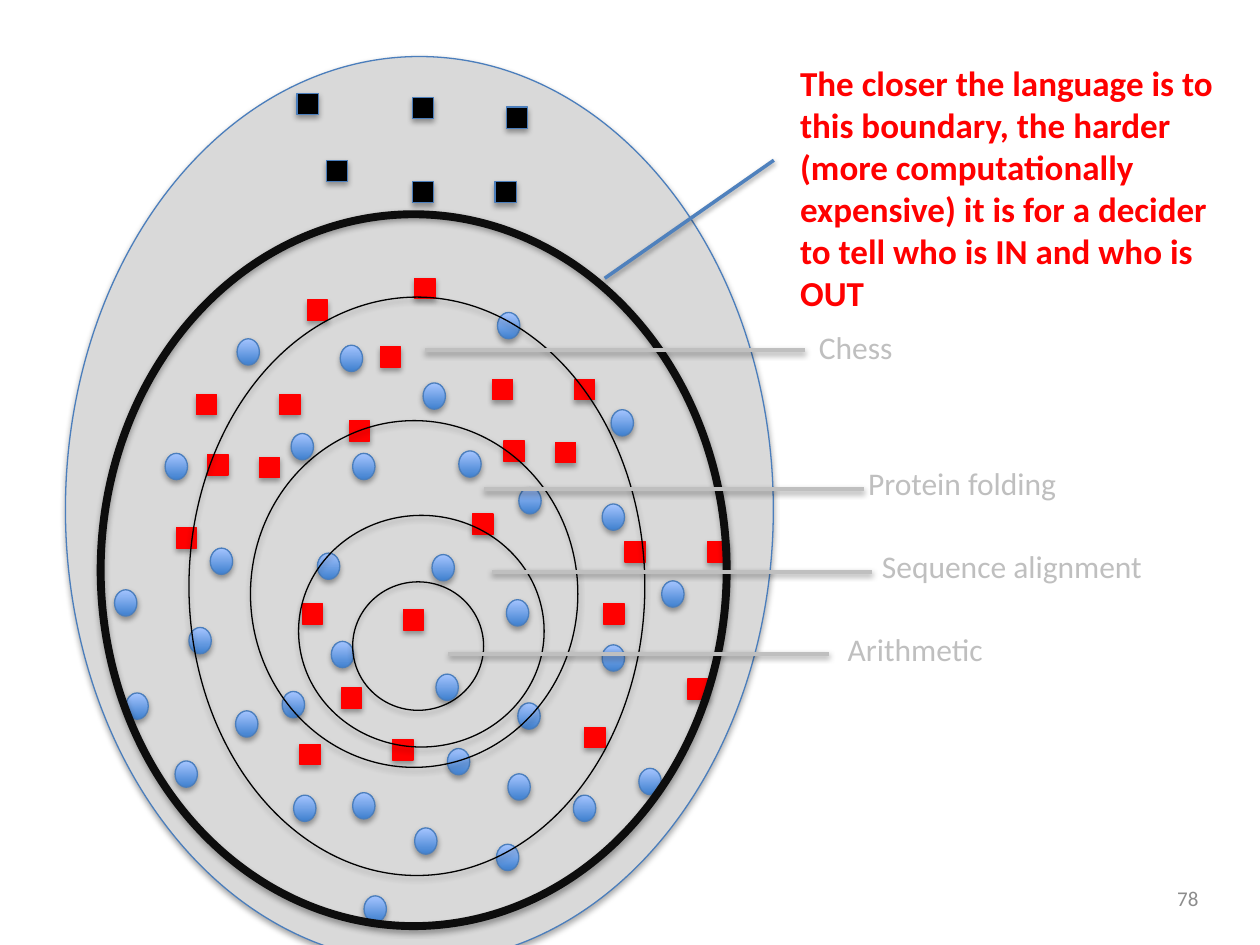
from typing import NamedTuple, Optional

import pptx
import pptx.dml.color
import pptx.enum.shapes
import pptx.enum.text
import pptx.oxml
import pptx.oxml.ns
import pptx.util

Cm = pptx.util.Cm
Pt = pptx.util.Pt
RGBColor = pptx.dml.color.RGBColor
Kind = pptx.enum.shapes.MSO_SHAPE
Align = pptx.enum.text.PP_ALIGN
Anchor = pptx.enum.text.MSO_ANCHOR
Fit = pptx.enum.text.MSO_AUTO_SIZE

BLACK = RGBColor(0x00, 0x00, 0x00)
INK = RGBColor(0x0D, 0x0D, 0x0D)
RED = RGBColor(0xFF, 0x00, 0x00)
PALE = RGBColor(0xD9, 0xD9, 0xD9)
GREY = RGBColor(0xBF, 0xBF, 0xBF)
DIM = RGBColor(0x8C, 0x8C, 0x8C)
EDGE = RGBColor(0x4B, 0x7E, 0xBC)
BLUE = RGBColor(0x4F, 0x81, 0xBD)
DEEP = RGBColor(0x3F, 0x80, 0xCE)
LIGHT = RGBColor(0xA4, 0xC4, 0xFF)


class Box(NamedTuple):
    left: float
    top: float
    width: float
    height: float


class Look(NamedTuple):
    kind: Kind
    edge: RGBColor
    fills: tuple[RGBColor, ...] = ()
    weight: float = 0.75


class Ring(NamedTuple):
    box: Box
    look: Look


class Swarm(NamedTuple):
    look: Look
    width: float
    height: float
    spots: list[tuple[float, float]]


class Label(NamedTuple):
    text: str
    box: Box
    tip: tuple[float, float]


OUTER = Ring(Box(1.32, 1.14, 14.27, 18.26), Look(Kind.OVAL, EDGE, (PALE,)))
THIN = Look(Kind.OVAL, BLACK)
RINGS = [
    Ring(Box(2.03, 4.32, 12.62, 14.35), Look(Kind.OVAL, INK, weight=4.5)),
    Ring(Box(3.81, 5.99, 9.19, 11.66), THIN),
    Ring(Box(5.05, 8.48, 6.6, 6.99), THIN),
    Ring(Box(6.02, 10.39, 4.95, 4.67), THIN),
    Ring(Box(7.11, 11.73, 2.64, 2.59), THIN),
]
DOTS = Swarm(Look(Kind.OVAL, EDGE, (DEEP, LIGHT)), 0.45, 0.53, [
    (3.33, 9.14), (7.11, 9.14), (6.68, 12.93), (6.4, 11.15), (4.24, 11.05),
    (5.69, 13.94), (8.79, 13.59), (11.56, 16.03), (9.02, 15.09), (5.92, 16.03),
    (10.21, 12.09), (13.34, 11.71), (12.88, 15.49), (12.14, 13), (10.44, 14.17),
    (7.11, 15.98), (10.24, 15.6), (10.01, 17.02), (8.36, 16.69), (7.34, 18.06),
    (9.25, 9.09), (12.32, 8.26), (12.14, 10.16), (10.46, 9.83), (8.71, 11.18),
    (4.78, 6.83), (10.03, 6.3), (8.53, 7.72), (6.86, 6.96), (5.87, 8.74),
    (2.31, 11.89), (3.81, 12.65), (4.75, 14.33), (3.53, 15.34), (2.54, 13.97),
])
REDS = Swarm(Look(Kind.RECTANGLE, RED, (RED,)), 0.41, 0.41, [
    (6.1, 12.17), (6.88, 13.87), (8.13, 12.29), (7.92, 14.91), (6.05, 15.01),
    (12.6, 10.92), (12.17, 12.17), (14.27, 10.92), (13.87, 13.69), (11.79, 14.66),
    (9.93, 7.65), (10.16, 8.89), (11.58, 7.65), (11.2, 8.92), (9.53, 10.36),
    (6.2, 6.05), (7.67, 6.99), (8.36, 5.61), (7.04, 8.48), (3.96, 7.95),
    (4.19, 9.17), (5.64, 7.95), (5.23, 9.22), (3.56, 10.64),
])
BLACKS = Swarm(Look(Kind.RECTANGLE, EDGE, (BLACK,)), 0.43, 0.43, [
    (6.58, 3.23), (8.31, 1.96), (10.21, 2.16), (8.31, 3.66), (5.99, 1.88), (9.98, 3.66),
])
REACH = 7.67
LABELS = [
    Label("Chess", Box(16.26, 6.48, 6.78, 1.03), (16.23, 7.06)),
    Label("Protein folding", Box(17.25, 9.22, 6.78, 1.03), (17.42, 9.86)),
    Label("Sequence alignment", Box(17.53, 10.9, 6.78, 1.03), (17.58, 11.53)),
    Label("Arithmetic", Box(16.84, 12.57, 3.94, 1.03), (16.71, 13.18)),
]
CLAIM = (
    "The closer the language is to this boundary, the harder (more computationally "
    "expensive) it is for a decider to tell who is IN and who is OUT"
)


def add_shade(shape, drop: int, alpha: int) -> None:
    shape._element.spPr.append(pptx.oxml.parse_xml(
        f'<a:effectLst {pptx.oxml.ns.nsdecls("a")}>'
        f'<a:outerShdw blurRad="40000" dist="{drop}" dir="5400000" rotWithShape="0">'
        f'<a:srgbClr val="000000"><a:alpha val="{alpha}"/></a:srgbClr>'
        '</a:outerShdw></a:effectLst>'
    ))


def draw_shape(shapes, box: Box, look: Look) -> None:
    shape = shapes.add_shape(look.kind, *map(Cm, box))
    if len(look.fills) == 2:
        shape.fill.gradient()
        shape.fill.gradient_angle = 90
        for stop, shade in zip(shape.fill.gradient_stops, look.fills):
            stop.color.rgb = shade
    elif look.fills:
        shape.fill.solid()
        shape.fill.fore_color.rgb = look.fills[0]
    else:
        shape.fill.background()
    shape.line.color.rgb = look.edge
    shape.line.width = Pt(look.weight)
    add_shade(shape, 23000, 35000)


def draw_swarm(shapes, swarm: Swarm) -> None:
    for left, top in swarm.spots:
        draw_shape(shapes, Box(left, top, swarm.width, swarm.height), swarm.look)


def draw_line(shapes, start: tuple[float, float], end: tuple[float, float], shade: RGBColor) -> None:
    line = shapes.add_connector(
        pptx.enum.shapes.MSO_CONNECTOR.STRAIGHT, *map(Cm, start + end))
    line.line.color.rgb = shade
    line.line.width = Pt(2)
    add_shade(line, 20000, 38000)


def draw_text(shapes, text: str, box: Box, size: int, shade: RGBColor,
              bold: bool = False, align: Optional[Align] = None,
              anchor: Anchor = Anchor.TOP, fit: Fit = Fit.SHAPE_TO_FIT_TEXT) -> None:
    frame = shapes.add_textbox(*map(Cm, box)).text_frame
    frame.word_wrap = True
    frame.auto_size = fit
    frame.vertical_anchor = anchor
    para = frame.paragraphs[0]
    para.text = text
    para.alignment = align
    para.font.name = "Calibri"
    para.font.size = Pt(size)
    para.font.bold = bold
    para.font.color.rgb = shade


def main() -> None:
    deck = pptx.Presentation()
    deck.slide_width = Cm(25.4)
    deck.slide_height = Cm(19.05)
    shapes = deck.slides.add_slide(deck.slide_layouts[6]).shapes

    draw_shape(shapes, OUTER.box, OUTER.look)
    draw_text(shapes, "78", Box(18.49, 17.6, 5.92, 1.02), 12, DIM,
              align=Align.RIGHT, anchor=Anchor.MIDDLE, fit=Fit.NONE)
    inner = shapes.add_group_shape().shapes
    draw_swarm(inner, DOTS)
    draw_swarm(inner, REDS)
    for ring in RINGS:
        draw_shape(shapes, ring.box, ring.look)
    draw_swarm(shapes.add_group_shape().shapes, BLACKS)
    for label in LABELS:
        left, top = label.tip
        draw_line(shapes, label.tip, (left - REACH, top), GREY)
        draw_text(shapes, label.text, label.box, 18, GREY)
    draw_line(shapes, (15.6, 3.23), (12.19, 5.61), BLUE)
    draw_text(shapes, CLAIM, Box(15.88, 1.12, 9.25, 5.38), 20, RED, bold=True)

    deck.save("out.pptx")


if __name__ == "__main__":
    main()
